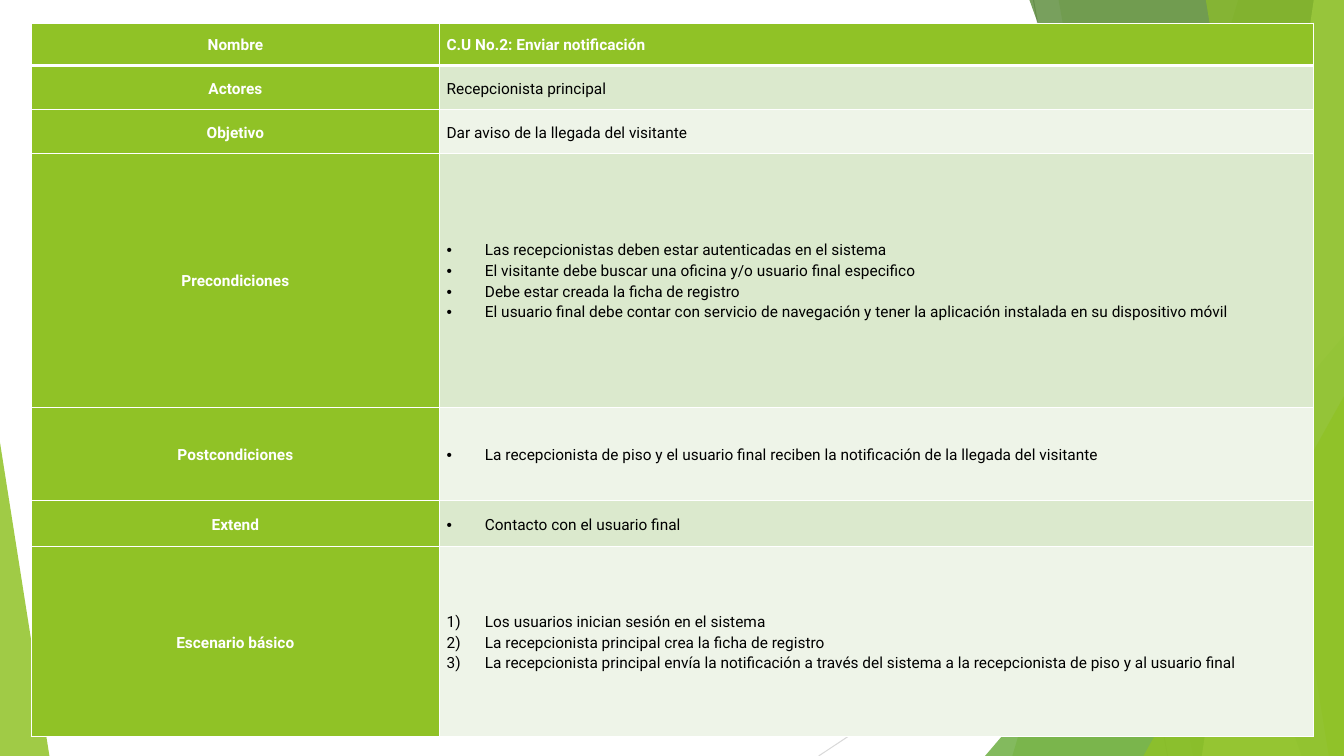
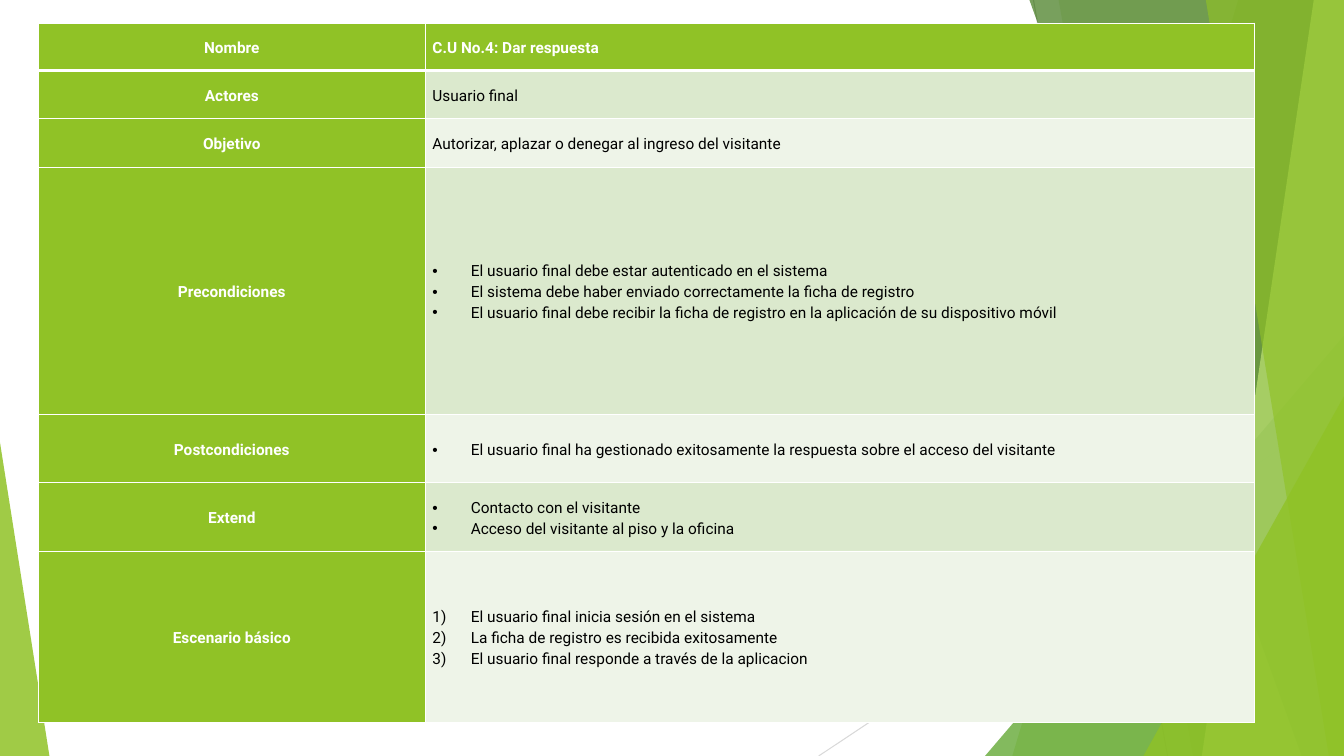
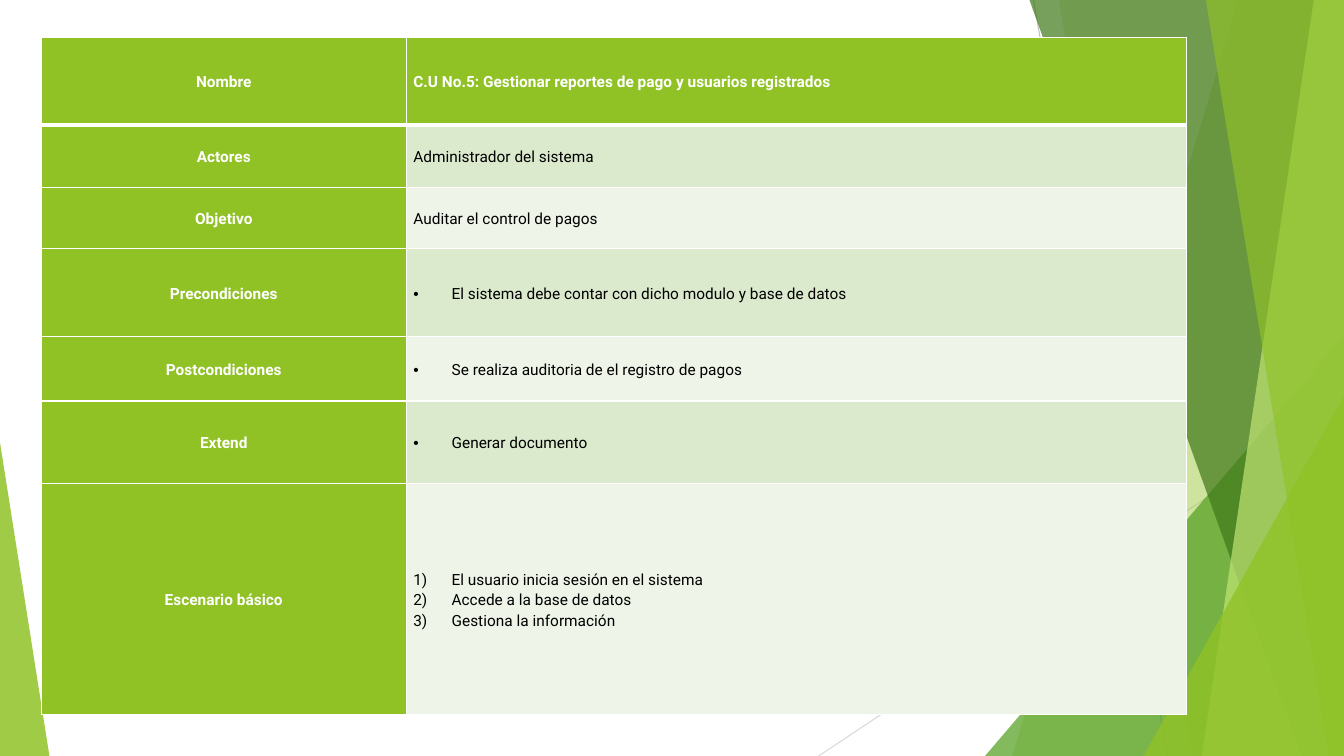
import dataclasses

import pptx
import pptx.dml.color
import pptx.enum.shapes
import pptx.enum.text
import pptx.oxml.ns
import pptx.oxml.xmlchemy
import pptx.util
from lxml import etree

PX = 9144
WIDE, HIGH = 1333, 750


@dataclasses.dataclass(frozen=True)
class Theme:
    font: str = "Roboto"
    size: int = 11
    lead: float = 1.15
    white: str = "FFFFFF"
    black: str = "000000"
    lime: str = "90C226"
    green: str = "54A021"
    dark: str = "3F7819"
    pale: str = "C0E474"
    gray: str = "BFBFBF"
    mist: str = "D9D9D9"
    bands: tuple = ("EEF4E8", "DBE9CD")
    thin: int = 1
    thick: int = 3
    hair: float = 0.75


LOOK = Theme()
LABELS = ("Nombre", "Actores", "Objetivo", "Precondiciones",
          "Postcondiciones", "Extend", "Escenario básico")
MARKS = {
    "dot": ("a:buChar", {"char": "•"}),
    "step": ("a:buAutoNum", {"type": "arabicParenR"}),
}
KINDS = (None, None, None, "dot", "dot", "dot", "step")

CASES = (
    dict(spot=(31, 23), cols=(405, 867),
         rows=(42, 44, 43, 252, 93, 45, 189),
         texts=(
             ("C.U No.2: Enviar notificación",),
             ("Recepcionista principal",),
             ("Dar aviso de la llegada del visitante",),
             ("Las recepcionistas deben estar autenticadas en el sistema",
              "El visitante debe buscar una oficina y/o usuario final especifico",
              "Debe estar creada la ficha de registro",
              "El usuario final debe contar con servicio de navegación y tener "
              "la aplicación instalada en su dispositivo móvil"),
             ("La recepcionista de piso y el usuario final reciben la "
              "notificación de la llegada del visitante",),
             ("Contacto con el usuario final",),
             ("Los usuarios inician sesión en el sistema",
              "La recepcionista principal crea la ficha de registro",
              "La recepcionista principal envía la notificación a través del "
              "sistema a la recepcionista de piso y al usuario final"),
         )),
    dict(spot=(38, 23), cols=(384, 822),
         rows=(47, 48, 48, 245, 68, 68, 170),
         texts=(
             ("C.U No.4: Dar respuesta",),
             ("Usuario final",),
             ("Autorizar, aplazar o denegar al ingreso del visitante",),
             ("El usuario final debe estar autenticado en el sistema",
              "El sistema debe haber enviado correctamente la ficha de registro",
              "El usuario final debe recibir la ficha de registro en la "
              "aplicación de su dispositivo móvil"),
             ("El usuario final ha gestionado exitosamente la respuesta sobre "
              "el acceso del visitante",),
             ("Contacto con el visitante",
              "Acceso del visitante al piso y la oficina"),
             ("El usuario final inicia sesión en el sistema",
              "La ficha de registro es recibida exitosamente",
              "El usuario final responde a través de la aplicacion"),
         )),
    dict(spot=(41, 37), cols=(362, 774),
         rows=(87, 62, 61, 87, 64, 82, 229),
         texts=(
             ("C.U No.5: Gestionar reportes de pago y usuarios registrados",),
             ("Administrador del sistema",),
             ("Auditar el control de pagos",),
             ("El sistema debe contar con dicho modulo y base de datos",),
             ("Se realiza auditoria de el registro de pagos",),
             ("Generar documento",),
             ("El usuario inicia sesión en el sistema",
              "Accede a la base de datos",
              "Gestiona la información"),
         )),
)


def emu(*nums):
    return [pptx.util.Emu(num * PX) for num in nums]


def rgb(code):
    return pptx.dml.color.RGBColor.from_string(code)


def child(node, tag, **attrs):
    return etree.SubElement(node, pptx.oxml.ns.qn(tag), **attrs)


def tint(shape, color, alpha):
    shape.shadow.inherit = False
    shape.line.fill.background()
    shape.fill.solid()
    shape.fill.fore_color.rgb = rgb(color)
    node = shape.element.xpath("./p:spPr/a:solidFill/a:srgbClr")[0]
    child(node, "a:alpha", val=str(alpha * 1000))


def add_line(slide, start, end, color):
    line = slide.shapes.add_connector(
        pptx.enum.shapes.MSO_CONNECTOR.STRAIGHT, *emu(*start, *end))
    line.line.color.rgb = rgb(color)
    line.line.width = pptx.util.Pt(LOOK.hair)
    child(line.element.spPr, "a:effectLst")


def add_pane(slide, top, foot, color, alpha):
    pen = slide.shapes.build_freeform(top, 0, scale=PX)
    pen.add_line_segments([(WIDE, 0), (WIDE, HIGH), (foot, HIGH)], close=True)
    tint(pen.convert_to_shape(), color, alpha)


def add_peak(slide, left, top, width, tip, color, alpha):
    peak = slide.shapes.add_shape(
        pptx.enum.shapes.MSO_SHAPE.ISOSCELES_TRIANGLE,
        *emu(left, top, width, HIGH - top))
    peak.adjustments[0] = tip
    tint(peak, color, alpha)


def add_decor(slide):
    add_line(slide, (1025, 0), (1158, HIGH), LOOK.gray)
    add_line(slide, (WIDE, 403), (812, HIGH), LOOK.mist)
    add_pane(slide, 1228, 1004, LOOK.lime, 30)
    add_pane(slide, 1050, 1183, LOOK.lime, 20)
    add_peak(slide, 977, 333, 356, 1, LOOK.green, 72)
    add_pane(slide, 1021, 1291, LOOK.dark, 70)
    add_pane(slide, 1303, 1192, LOOK.pale, 70)
    add_pane(slide, 1196, 1318, LOOK.lime, 65)
    add_peak(slide, 1134, 393, 199, 1, LOOK.lime, 80)
    add_peak(slide, 0, 439, 49, 0, LOOK.lime, 85)


def edge_cell(cell, row):
    widths = {"L": LOOK.thin, "R": LOOK.thin,
              "T": LOOK.thick if row == 1 else LOOK.thin,
              "B": LOOK.thick if row == 0 else LOOK.thin}
    props = cell._tc.get_or_add_tcPr()
    for spot, (side, width) in enumerate(widths.items()):
        edge = child(props, "a:ln" + side, w=str(pptx.util.Pt(width)))
        child(child(edge, "a:solidFill"), "a:srgbClr", val=LOOK.white)
        props.insert(spot, edge)


def add_mark(para, kind):
    props = para._p.get_or_add_pPr()
    indent = 38 * PX
    props.set("marL", str(indent))
    props.set("indent", str(-indent))
    child(props, "a:buFont", typeface="Arial" if kind == "dot" else LOOK.font)
    tag, attrs = MARKS[kind]
    child(props, tag, **attrs)


def fill_cell(cell, row, texts, back, head, align, kind=None):
    cell.fill.solid()
    cell.fill.fore_color.rgb = rgb(back)
    edge_cell(cell, row)
    cell.vertical_anchor = pptx.enum.text.MSO_ANCHOR.MIDDLE
    cell.margin_left, cell.margin_right = emu(7, 7)
    cell.margin_top = cell.margin_bottom = 0
    frame = cell.text_frame
    for num, text in enumerate(texts):
        para = frame.add_paragraph() if num else frame.paragraphs[0]
        para.alignment = align
        para.line_spacing = LOOK.lead
        if kind:
            add_mark(para, kind)
        run = para.add_run()
        run.text = text
        run.font.name = LOOK.font
        run.font.size = pptx.util.Pt(LOOK.size)
        run.font.bold = head
        run.font.color.rgb = rgb(LOOK.white if head else LOOK.black)


def add_case(slide, spot, cols, rows, texts):
    grid = slide.shapes.add_table(
        len(rows), len(cols), *emu(*spot, sum(cols), sum(rows))).table
    grid.first_row = grid.horz_banding = False
    for col, width in zip(grid.columns, emu(*cols)):
        col.width = width
    for line, height in zip(grid.rows, emu(*rows)):
        line.height = height
    align = pptx.enum.text.PP_ALIGN
    for row, (label, lines, kind) in enumerate(zip(LABELS, texts, KINDS)):
        head = row == 0
        back = LOOK.lime if head else LOOK.bands[row % 2]
        fill_cell(grid.cell(row, 0), row, [label], LOOK.lime, True, align.CENTER)
        fill_cell(grid.cell(row, 1), row, lines, back, head, align.LEFT, kind)


def main():
    deck = pptx.Presentation()
    deck.slide_width, deck.slide_height = emu(WIDE, HIGH)
    for case in CASES:
        slide = deck.slides.add_slide(deck.slide_layouts[6])
        add_decor(slide)
        add_case(slide, **case)
    deck.save("out.pptx")


if __name__ == "__main__":
    main()
